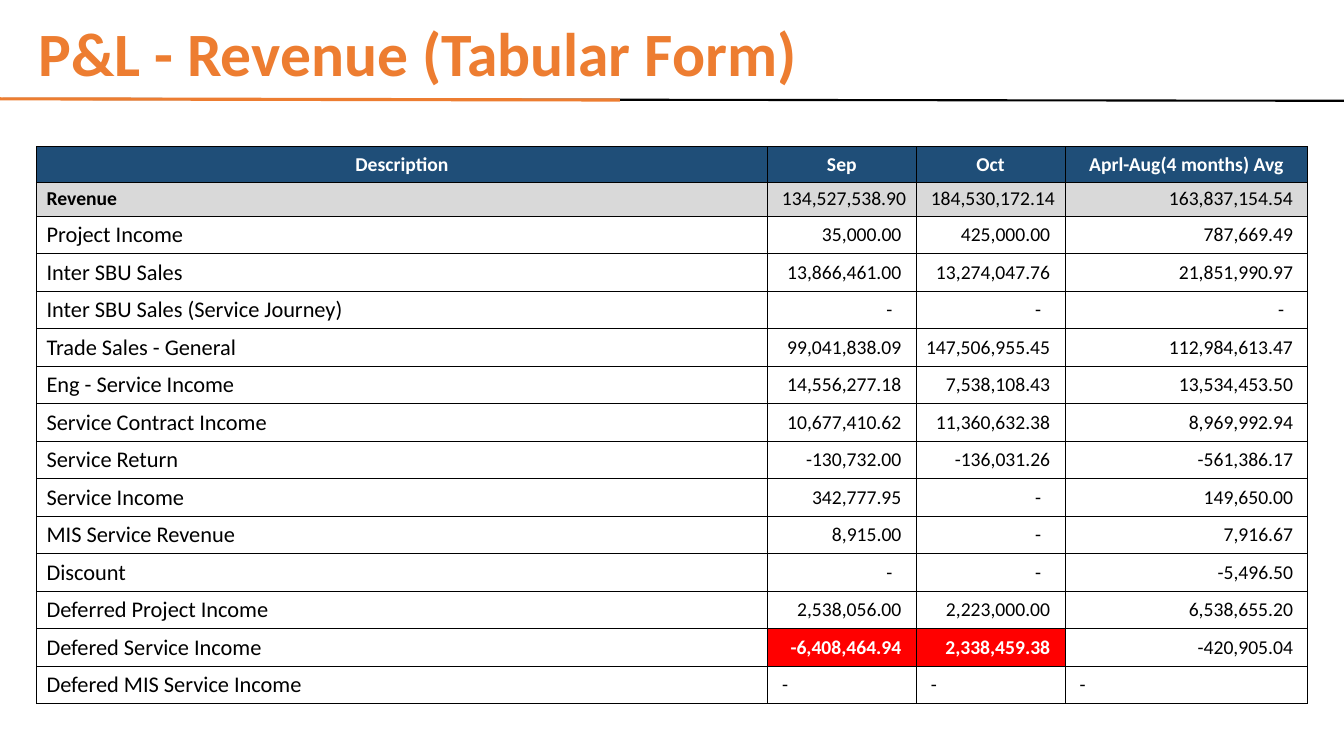
"""Build the revenue slide: a ruled title above the monthly profit and loss table."""
from dataclasses import dataclass

import pptx
import pptx.dml.color
import pptx.enum.shapes
import pptx.enum.text
import pptx.oxml
import pptx.util
from pptx.oxml.ns import nsdecls

Cm, Pt = pptx.util.Cm, pptx.util.Pt
RGB = pptx.dml.color.RGBColor.from_string
ALIGN = pptx.enum.text.PP_ALIGN
ANCHOR = pptx.enum.text.MSO_ANCHOR


@dataclass(frozen=True)
class Theme:
    font: str = "Calibri"
    accent: str = "ED7D31"
    ink: str = "000000"
    paper: str = "FFFFFF"
    header: str = "1F4E78"
    total: str = "D9D9D9"
    alert: str = "FF0000"
    title_size: int = 44
    label_size: int = 16
    value_size: int = 14


theme = Theme()
HEADINGS = ("Description", "Sep", "Oct", "Aprl-Aug(4 months) Avg")
REVENUE = [
    ("Revenue", "134,527,538.90", "184,530,172.14", "163,837,154.54"),
    ("Project Income", "35,000.00", "425,000.00", "787,669.49"),
    ("Inter SBU Sales", "13,866,461.00", "13,274,047.76", "21,851,990.97"),
    ("Inter SBU Sales (Service Journey)", "-", "-", "-"),
    ("Trade Sales - General", "99,041,838.09", "147,506,955.45", "112,984,613.47"),
    ("Eng - Service Income", "14,556,277.18", "7,538,108.43", "13,534,453.50"),
    ("Service Contract Income", "10,677,410.62", "11,360,632.38", "8,969,992.94"),
    ("Service Return", "-130,732.00", "-136,031.26", "-561,386.17"),
    ("Service Income", "342,777.95", "-", "149,650.00"),
    ("MIS Service Revenue", "8,915.00", "-", "7,916.67"),
    ("Discount", "-", "-", "-5,496.50"),
    ("Deferred Project Income", "2,538,056.00", "2,223,000.00", "6,538,655.20"),
    ("Defered Service Income", "-6,408,464.94", "2,338,459.38", "-420,905.04"),
    ("Defered MIS Service Income", "-", "-", "-"),
]
ROWS = [HEADINGS, *REVENUE]
LAST_ROW = len(ROWS) - 1
ALERTS = {(13, 1), (13, 2)}


def add_rule(start, end, color, weight):
    rule = slide.shapes.add_connector(
        pptx.enum.shapes.MSO_CONNECTOR.STRAIGHT, *map(Cm, start + end))
    rule.line.color.rgb = RGB(color)
    rule.line.width = Pt(weight)
    rule._element.spPr.append(pptx.oxml.parse_xml(f"<a:effectLst {nsdecls('a')}/>"))


def set_borders(cell, bottom_weight):
    for side in "LRTB":
        weight = Pt(bottom_weight if side == "B" else 0.75)
        cell._tc.get_or_add_tcPr().append(pptx.oxml.parse_xml(
            f'<a:ln{side} {nsdecls("a")} w="{weight}"><a:solidFill>'
            f'<a:srgbClr val="{theme.ink}"/></a:solidFill></a:ln{side}>'))


deck = pptx.Presentation()
deck.slide_width, deck.slide_height = Cm(33.87), Cm(19.05)
slide = deck.slides.add_slide(deck.slide_layouts[5])

title = slide.shapes.title
title.left, title.top, title.width, title.height = Cm(0.71), Cm(0.28), Cm(25.3), Cm(2.31)
title.text_frame.text = "P&L - Revenue (Tabular Form)"
title.text_frame.vertical_anchor = ANCHOR.MIDDLE
title.text_frame.auto_size = pptx.enum.text.MSO_AUTO_SIZE.NONE
heading = title.text_frame.paragraphs[0]
heading.alignment = ALIGN.LEFT
heading.line_spacing = 0.9
heading.font.name = theme.font
heading.font.size = Pt(theme.title_size)
heading.font.bold = True
heading.font.color.rgb = RGB(theme.accent)

add_rule((0.08, 2.49), (33.87, 2.54), theme.ink, 1.5)
add_rule((0, 2.49), (15.62, 2.52), theme.accent, 2.25)

revenue_table = slide.shapes.add_table(
    len(ROWS), len(HEADINGS), Cm(0.92), Cm(3.69), Cm(32.04), Cm(13.5)).table
revenue_table.horz_banding = False
for column, width in zip(revenue_table.columns, (18.42, 3.75, 3.75, 6.12)):
    column.width = Cm(width)

for r, entries in enumerate(ROWS):
    revenue_table.rows[r].height = Cm(0.82 if r == 1 else 0.9)
    for c, entry in enumerate(entries):
        cell = revenue_table.cell(r, c)
        is_header, is_label, is_alert = r == 0, c == 0, (r, c) in ALERTS
        set_borders(cell, 1.2 if r == LAST_ROW else 0.75)
        fill = (theme.header if is_header else theme.total if r == 1
                else theme.alert if is_alert else None)
        if fill:
            cell.fill.solid()
            cell.fill.fore_color.rgb = RGB(fill)
        else:
            cell.fill.background()

        cell.text = entry
        cell.vertical_anchor = ANCHOR.BOTTOM if is_label else ANCHOR.MIDDLE
        line = cell.text_frame.paragraphs[0]
        if is_header:
            line.alignment = ALIGN.CENTER
        elif is_label:
            line.alignment = ALIGN.LEFT
        elif r == LAST_ROW:
            line.alignment = ALIGN.LEFT
            cell.margin_left = Cm(0.37)
        else:
            line.alignment = ALIGN.RIGHT
            cell.margin_left = 0
            tight = r == 1 and c < 3
            cell.margin_right = Cm(0.6 if entry == "-" else 0.25 if tight else 0.37)
        line.font.name = theme.font
        line.font.size = Pt(theme.label_size if is_label and r > 1 else theme.value_size)
        line.font.bold = is_header or is_alert or (is_label and r == 1)
        line.font.color.rgb = RGB(theme.paper if is_header or is_alert else theme.ink)

deck.save("out.pptx")
